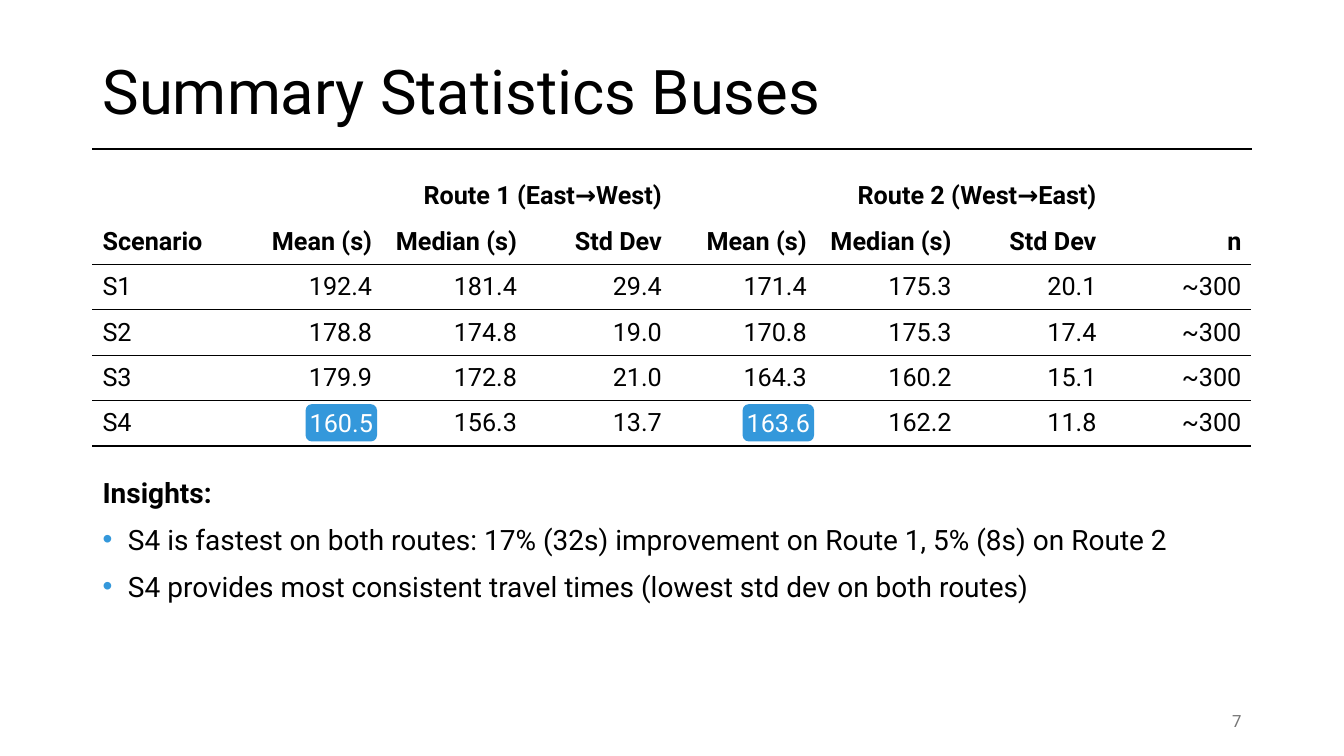
from lxml.etree import SubElement
from pptx import Presentation
from pptx.dml.color import RGBColor
from pptx.enum.shapes import MSO_CONNECTOR as Connector, MSO_SHAPE as Shape
from pptx.enum.text import MSO_ANCHOR as Anchor, MSO_AUTO_SIZE as AutoSize, PP_ALIGN as Align
from pptx.oxml import parse_xml
from pptx.oxml.ns import nsdecls, qn
from pptx.util import Cm, Pt

BLACK, WHITE, BLUE, GREY = "000000", "FFFFFF", "3498DB", "757575"
PLAIN_TABLE_STYLE = "{2D5ABB26-0587-4C30-8999-92F81FD0307C}"
MEASURES = ["Mean (s)", "Median (s)", "Std Dev"]
STATISTICS = [
    ["", "Route 1 (East→West)", "", "", "Route 2 (West→East)", "", "", ""],
    ["Scenario", *MEASURES, *MEASURES, "n"],
    ["S1", "192.4", "181.4", "29.4", "171.4", "175.3", "20.1", "~300"],
    ["S2", "178.8", "174.8", "19.0", "170.8", "175.3", "17.4", "~300"],
    ["S3", "179.9", "172.8", "21.0", "164.3", "160.2", "15.1", "~300"],
    ["S4", "", "156.3", "13.7", "163.6", "162.2", "11.8", "~300"],
]
FASTEST = [(1, "160.5", 0.13), (4, "163.6", 0.07)]
INSIGHTS = [
    "S4 is fastest on both routes: 17% (32s) improvement on Route 1, 5% (8s) on Route 2",
    "S4 provides most consistent travel times (lowest std dev on both routes)",
]


def color(value):
    """Turn a hex string into a colour."""
    return RGBColor.from_string(value)


def style(paragraph, size, ink=BLACK, bold=False, align=Align.LEFT):
    """Set the font and alignment of a paragraph."""
    paragraph.alignment = align
    font = paragraph.font
    font.name, font.size, font.bold = "Roboto", Pt(size), bold
    font.color.rgb = color(ink)


def place(part, box):
    """Move a placeholder to a box given in centimetres."""
    part.left, part.top, part.width, part.height = map(Cm, box)


def add_heading(slide, box):
    """Fill the title and draw the rule along its lower edge."""
    left, top, width, height = box
    title = slide.shapes.title
    place(title, box)
    frame = title.text_frame
    frame.text = "Summary Statistics Buses"
    frame.auto_size = AutoSize.NONE
    frame.vertical_anchor = Anchor.MIDDLE
    style(frame.paragraphs[0], 44)
    frame.paragraphs[0].line_spacing = 0.9
    bottom = Cm(top + height)
    rule = slide.shapes.add_connector(Connector.STRAIGHT, Cm(left), bottom, Cm(left + width), bottom)
    rule.line.color.rgb = color(BLACK)
    rule.line.width = Pt(1)
    SubElement(rule.element.spPr, qn("a:effectLst"))


def underline(cell):
    """Give a table cell a black lower border."""
    cell._tc.get_or_add_tcPr().insert(0, parse_xml(
        f'<a:lnB {nsdecls("a")} w="12700"><a:solidFill><a:srgbClr val="{BLACK}"/></a:solidFill></a:lnB>'))


def add_statistics(slide, box):
    """Build the table and mark the fastest mean of each route."""
    left, top, width, height = box
    row_count, column_count = len(STATISTICS), len(STATISTICS[0])
    row_height, column_width = height / row_count, width / column_count
    frame = slide.shapes.add_table(row_count, column_count, *map(Cm, box))
    for style_id in frame.element.iter(qn("a:tableStyleId")):
        style_id.text = PLAIN_TABLE_STYLE
    table = frame.table
    table.horz_banding = False
    for row, values in enumerate(STATISTICS):
        for column, value in enumerate(values):
            cell = table.cell(row, column)
            cell.text = value
            cell.vertical_anchor = Anchor.MIDDLE
            cell.fill.solid()
            cell.fill.fore_color.rgb = color(WHITE)
            style(cell.text_frame.paragraphs[0], 18, bold=row < 2,
                  align=Align.RIGHT if column else Align.LEFT)
            if row:
                underline(cell)
    for column in (1, 4):
        table.cell(0, column).merge(table.cell(0, column + 2))
    badge_width, badge_height = 1.8, 0.94
    for column, mean, gap in FASTEST:
        badge_left = left + (column + 1) * column_width - gap - badge_width
        badge_top = top + (row_count - 1) * row_height + 0.09
        add_badge(slide, (badge_left, badge_top, badge_width, badge_height), mean)


def add_badge(slide, box, mean):
    """Draw a blue rounded badge holding a mean."""
    badge = slide.shapes.add_shape(Shape.ROUNDED_RECTANGLE, *map(Cm, box))
    badge.shadow.inherit = False
    badge.fill.solid()
    badge.fill.fore_color.rgb = color(BLUE)
    badge.line.fill.background()
    frame = badge.text_frame
    frame.margin_left = frame.margin_right = frame.margin_top = frame.margin_bottom = 0
    frame.vertical_anchor = Anchor.MIDDLE
    frame.text = mean
    style(frame.paragraphs[0], 18, WHITE, align=Align.CENTER)


def set_bullet(paragraph, bulleted):
    """Give a paragraph a blue bullet, or none."""
    properties = paragraph._p.get_or_add_pPr()
    indent = Cm(0.64) if bulleted else 0
    properties.set("marL", str(indent))
    properties.set("indent", str(-indent))
    if bulleted:
        SubElement(SubElement(properties, qn("a:buClr")), qn("a:srgbClr"), val=BLUE)
        SubElement(properties, qn("a:buFont"), typeface="Arial")
        SubElement(properties, qn("a:buChar"), char="•")
    else:
        SubElement(properties, qn("a:buNone"))


def add_insights(slide, box):
    """Fill the body with a bold lead and bulleted insights."""
    body = slide.placeholders[1]
    place(body, box)
    frame = body.text_frame
    frame.text = "\n".join(["Insights:", *INSIGHTS])
    frame.auto_size = AutoSize.NONE
    frame.vertical_anchor = Anchor.TOP
    for index, paragraph in enumerate(frame.paragraphs):
        set_bullet(paragraph, index > 0)
        style(paragraph, 20, bold=index == 0)
        paragraph.line_spacing = 1.4
        paragraph.space_before = Pt(0)


def add_page_number(slide, box):
    """Write the page number at the right of its box."""
    frame = slide.shapes.add_textbox(*map(Cm, box)).text_frame
    frame.word_wrap = True
    frame.vertical_anchor = Anchor.MIDDLE
    frame.text = "7"
    style(frame.paragraphs[0], 12, GREY, align=Align.RIGHT)


def main():
    """Build and save the slide."""
    deck = Presentation()
    deck.slide_width, deck.slide_height = Cm(33.87), Cm(19.05)
    slide = deck.slides.add_slide(deck.slide_layouts[1])
    left, width = 2.33, 29.21
    add_heading(slide, (left, 1.01, width, 2.74))
    add_statistics(slide, (left, 4.37, width, 6.87))
    add_insights(slide, (left, 11.51, width, 5.66))
    add_page_number(slide, (left + width - 7.62, 17.65, 7.62, 1.02))
    deck.save("out.pptx")


if __name__ == "__main__":
    main()
